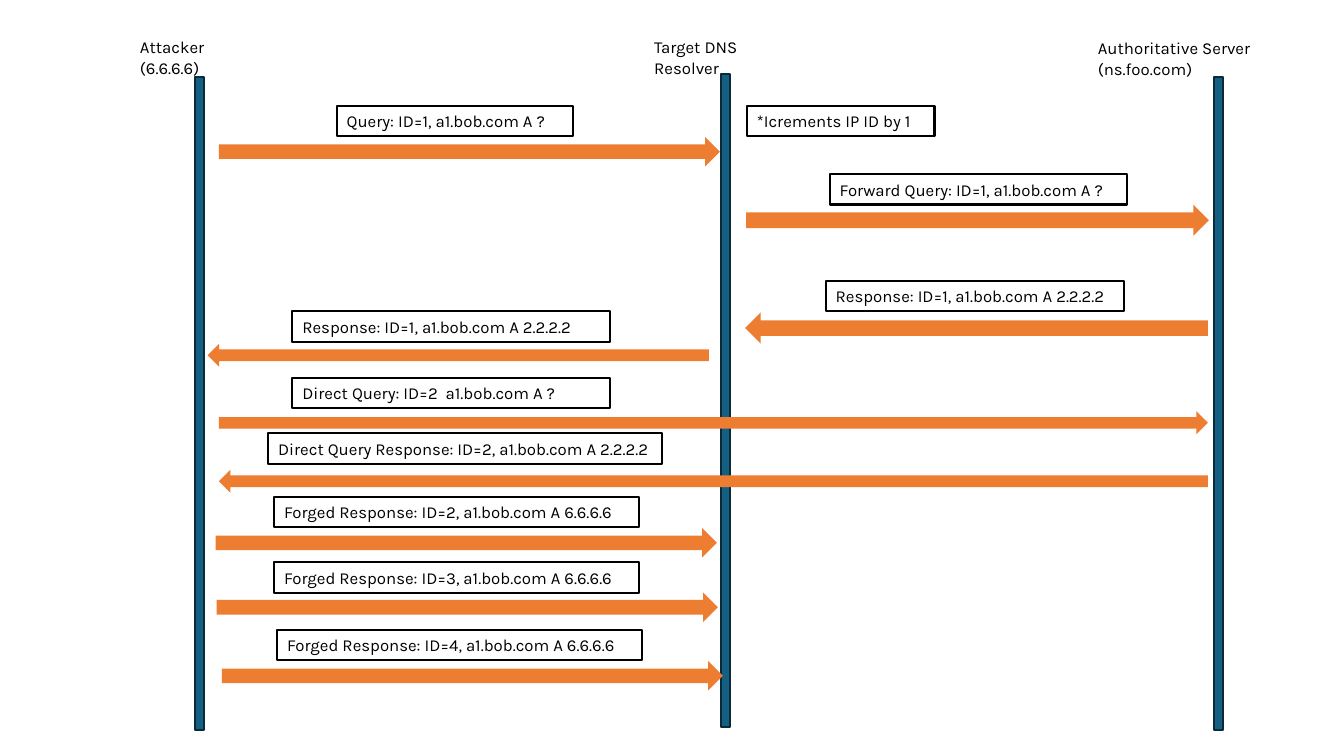
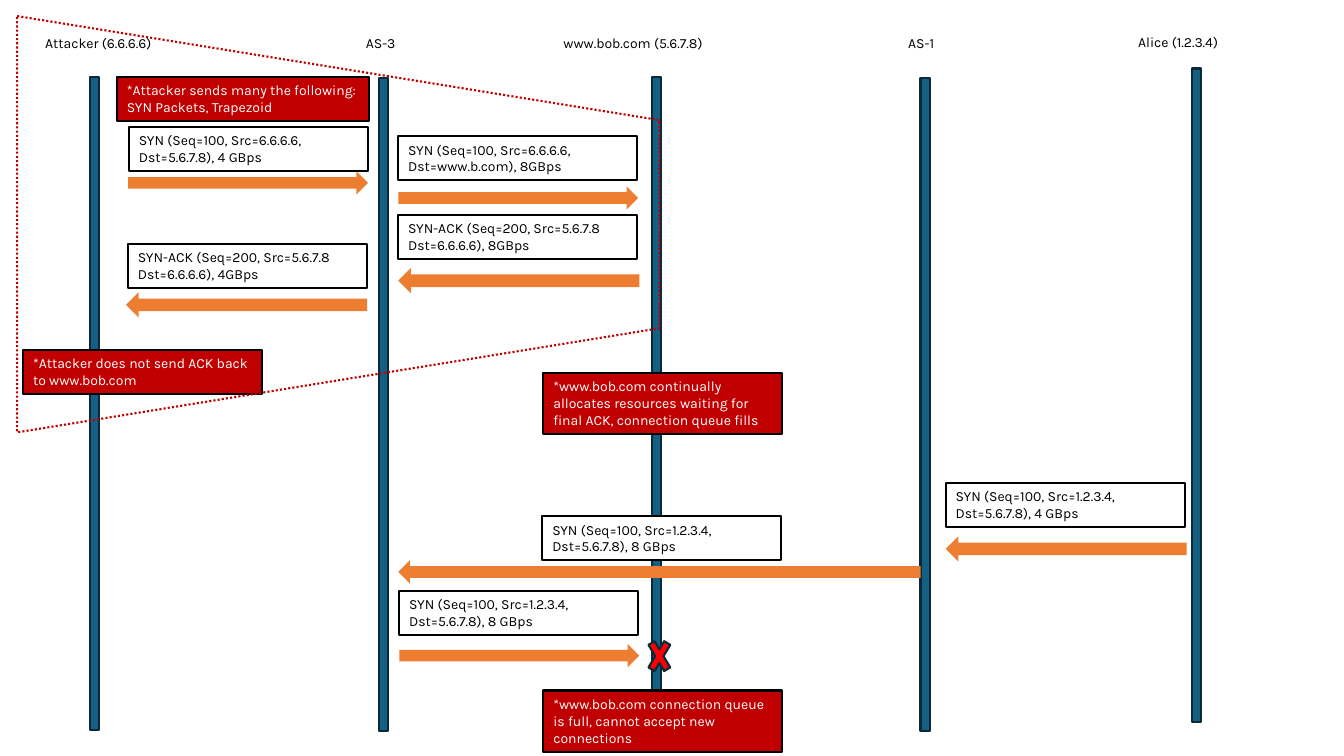
from pptx import Presentation
from pptx.dml.color import RGBColor
from pptx.enum.dml import MSO_LINE
from pptx.enum.shapes import MSO_SHAPE
from pptx.enum.text import PP_ALIGN
from pptx.util import Inches, Pt

FONT = "Karla"
BLACK = RGBColor(0x00, 0x00, 0x00)
WHITE = RGBColor(0xFF, 0xFF, 0xFF)
TEAL = RGBColor(0x15, 0x60, 0x82)
NAVY = RGBColor(0x09, 0x2A, 0x39)
ORANGE = RGBColor(0xED, 0x7D, 0x31)
CRIMSON = RGBColor(0xC0, 0x00, 0x00)
RED = RGBColor(0xFF, 0x00, 0x00)
RIGHT = MSO_SHAPE.RIGHT_ARROW
LEFT = MSO_SHAPE.LEFT_ARROW
LIFELINE_WIDTH = 0.09
LIFELINE_HEIGHT = 6.48


def add_figure(slide, preset, box, fill=None, outline=None):
    figure = slide.shapes.add_shape(preset, *map(Inches, box))
    figure.shadow.inherit = False
    if fill is None:
        figure.fill.background()
    else:
        figure.fill.solid()
        figure.fill.fore_color.rgb = fill
    if outline is None:
        figure.line.fill.background()
    else:
        figure.line.color.rgb = outline
        figure.line.width = Pt(1.5)
    return figure


def add_text(slide, text, box, size, fill=None, color=BLACK):
    label = slide.shapes.add_textbox(*map(Inches, box))
    if fill is not None:
        label.fill.solid()
        label.fill.fore_color.rgb = fill
        label.line.color.rgb = BLACK
        label.line.width = Pt(1.5)
    label.text_frame.word_wrap = True
    label.text_frame.text = text
    paragraph = label.text_frame.paragraphs[0]
    paragraph.alignment = PP_ALIGN.LEFT
    font = paragraph.runs[0].font
    font.name = FONT
    font.size = Pt(size)
    font.color.rgb = color


prs = Presentation()
prs.slide_width = Inches(13.33)
prs.slide_height = Inches(7.5)
blank_layout = prs.slide_layouts[6]

dns_slide = prs.slides.add_slide(blank_layout)
dns_hosts = [
    ("Attacker (6.6.6.6)", 1.29, 0.32, 1.46, 1.93, 0.76),
    ("Target DNS Resolver", 6.39, 0.32, 1.67, 7.15, 0.73),
    ("Authoritative Server (ns.foo.com)", 10.79, 0.33, 2.61, 12.04, 0.76),
]
for name, left, top, width, line_left, line_top in dns_hosts:
    add_text(dns_slide, name, (left, top, width, 0.3), 12)
    add_figure(dns_slide, MSO_SHAPE.RECTANGLE,
               (line_left, line_top, LIFELINE_WIDTH, LIFELINE_HEIGHT), TEAL, NAVY)

dns_messages = [
    ("Query: ID=1, a1.bob.com A ?", 3.34, 1.05, 2.34, RIGHT, (2.17, 1.36, 4.97, 0.29)),
    ("Forward Query: ID=1, a1.bob.com A ?", 8.23, 1.73, 2.95, RIGHT, (7.4, 2.03, 4.59, 0.31)),
    ("Response: ID=1, a1.bob.com A 2.2.2.2", 8.19, 2.79, 2.96, LEFT, (7.39, 3.1, 4.59, 0.31)),
    ("Response: ID=1, a1.bob.com A 2.2.2.2", 2.9, 3.09, 3.15, LEFT, (2.06, 3.41, 4.97, 0.23)),
    ("Direct Query: ID=2  a1.bob.com A ?", 2.9, 3.75, 3.15, RIGHT, (2.17, 4.08, 9.81, 0.23)),
    ("Direct Query Response: ID=2, a1.bob.com A 2.2.2.2", 2.66, 4.3, 3.91,
     LEFT, (2.17, 4.66, 9.81, 0.23)),
    ("Forged Response: ID=2, a1.bob.com A 6.6.6.6", 2.72, 4.93, 3.62,
     RIGHT, (2.14, 5.24, 4.97, 0.29)),
    ("Forged Response: ID=3, a1.bob.com A 6.6.6.6", 2.72, 5.58, 3.62,
     RIGHT, (2.15, 5.88, 4.97, 0.29)),
    ("Forged Response: ID=4, a1.bob.com A 6.6.6.6", 2.75, 6.25, 3.62,
     RIGHT, (2.2, 6.56, 4.97, 0.29)),
]
for text, left, top, width, direction, arrow_box in dns_messages:
    add_figure(dns_slide, direction, arrow_box, ORANGE)
    add_text(dns_slide, text, (left, top, width, 0.3), 12, WHITE)
add_text(dns_slide, "*Icrements IP ID by 1", (7.41, 1.05, 1.86, 0.3), 12, WHITE)

syn_slide = prs.slides.add_slide(blank_layout)
syn_hosts = [
    ("Attacker (6.6.6.6)", 0.35, 0.29, 2.15, 0.89, 0.76),
    ("AS-3", 3.53, 0.29, 0.68, 3.76, 0.77),
    ("www.bob.com (5.6.7.8)", 5.49, 0.29, 1.91, 6.47, 0.76),
    ("AS-1", 8.91, 0.29, 0.64, 9.13, 0.77),
    ("Alice (1.2.3.4)", 11.19, 0.28, 1.36, 11.82, 0.68),
]
for name, left, top, width, line_left, line_top in syn_hosts:
    add_text(syn_slide, name, (left, top, width, 0.27), 10)
    add_figure(syn_slide, MSO_SHAPE.RECTANGLE,
               (line_left, line_top, LIFELINE_WIDTH, LIFELINE_HEIGHT), TEAL, NAVY)

syn_messages = [
    ("SYN (Seq=100, Src=6.6.6.6, Dst=5.6.7.8), 4 GBps", 1.28, 1.26,
     RIGHT, (1.27, 1.7, 2.38, 0.23)),
    ("SYN (Seq=100, Src=6.6.6.6, Dst=www.b.com), 8GBps", 3.95, 1.35,
     RIGHT, (3.95, 1.85, 2.38, 0.23)),
    ("SYN-ACK (Seq=200, Src=5.6.7.8 Dst=6.6.6.6), 8GBps", 3.95, 2.13,
     LEFT, (3.95, 2.66, 2.39, 0.25)),
    ("SYN-ACK (Seq=200, Src=5.6.7.8 Dst=6.6.6.6), 4GBps", 1.27, 2.42,
     LEFT, (1.25, 2.9, 2.39, 0.25)),
    ("SYN (Seq=100, Src=1.2.3.4, Dst=5.6.7.8), 4 GBps", 9.38, 4.79,
     LEFT, (9.38, 5.32, 2.39, 0.25)),
    ("SYN (Seq=100, Src=1.2.3.4, Dst=5.6.7.8), 8 GBps", 5.38, 5.12,
     LEFT, (3.95, 5.56, 5.18, 0.23)),
    ("SYN (Seq=100, Src=1.2.3.4, Dst=5.6.7.8), 8 GBps", 3.96, 5.86,
     RIGHT, (3.96, 6.39, 2.38, 0.23)),
]
for text, left, top, direction, arrow_box in syn_messages:
    add_figure(syn_slide, direction, arrow_box, ORANGE)
    add_text(syn_slide, text, (left, top, 2.37, 0.44), 10, WHITE)

attack_notes = [
    ("*Attacker sends many the following: SYN Packets, Trapezoid", (1.16, 0.76, 2.5, 0.44)),
    ("*Attacker does not send ACK back to www.bob.com", (0.23, 3.47, 2.37, 0.44)),
    ("*www.bob.com continually allocates resources waiting for final ACK, "
     "connection queue fills up", (5.39, 3.7, 2.37, 0.61)),
    ("*www.bob.com connection queue is full, cannot accept new connections",
     (5.39, 6.85, 2.37, 0.61)),
]
for text, box in attack_notes:
    add_text(syn_slide, text, box, 10, CRIMSON, WHITE)

add_figure(syn_slide, MSO_SHAPE.MATH_MULTIPLY, (6.39, 6.26, 0.3, 0.5), RED, NAVY)
flood_zone = add_figure(syn_slide, MSO_SHAPE.TRAPEZOID, (1.29, -0.96, 4.13, 6.37), None, CRIMSON)
flood_zone.rotation = 90
flood_zone.line.dash_style = MSO_LINE.ROUND_DOT

prs.save("out.pptx")
